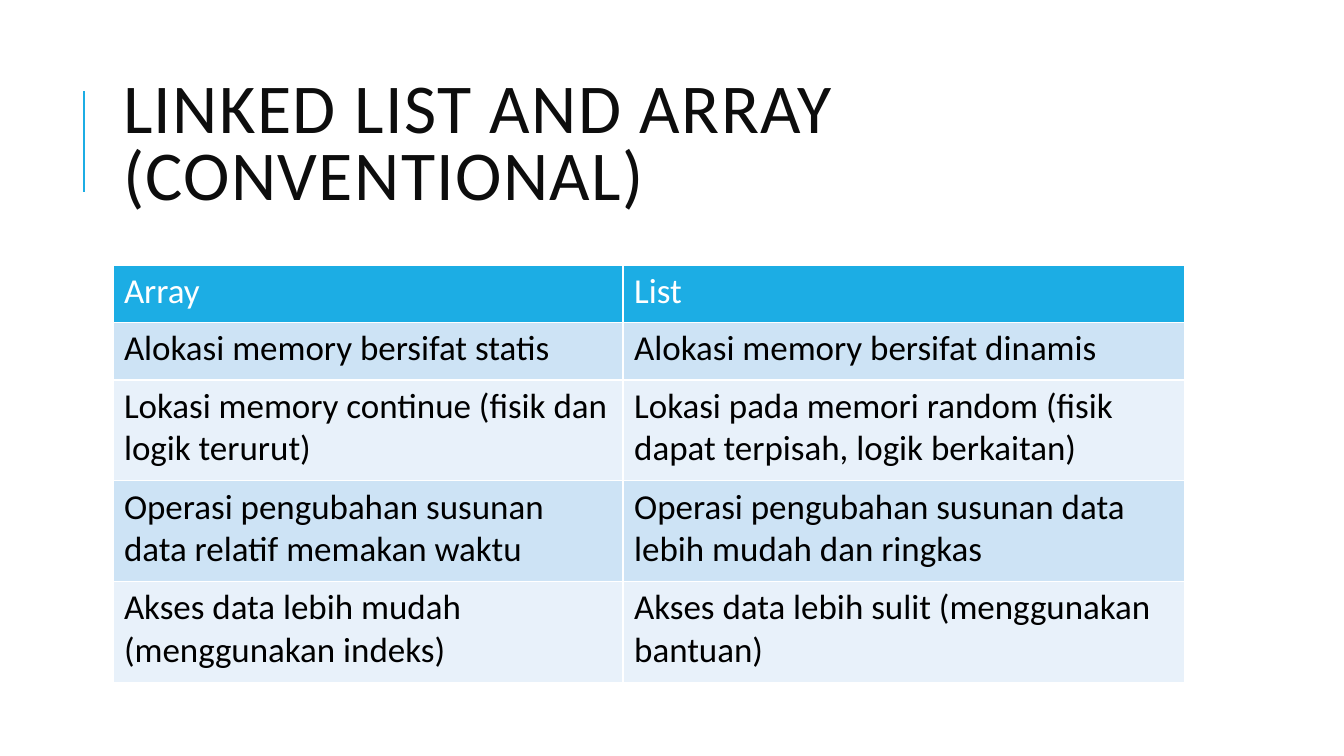
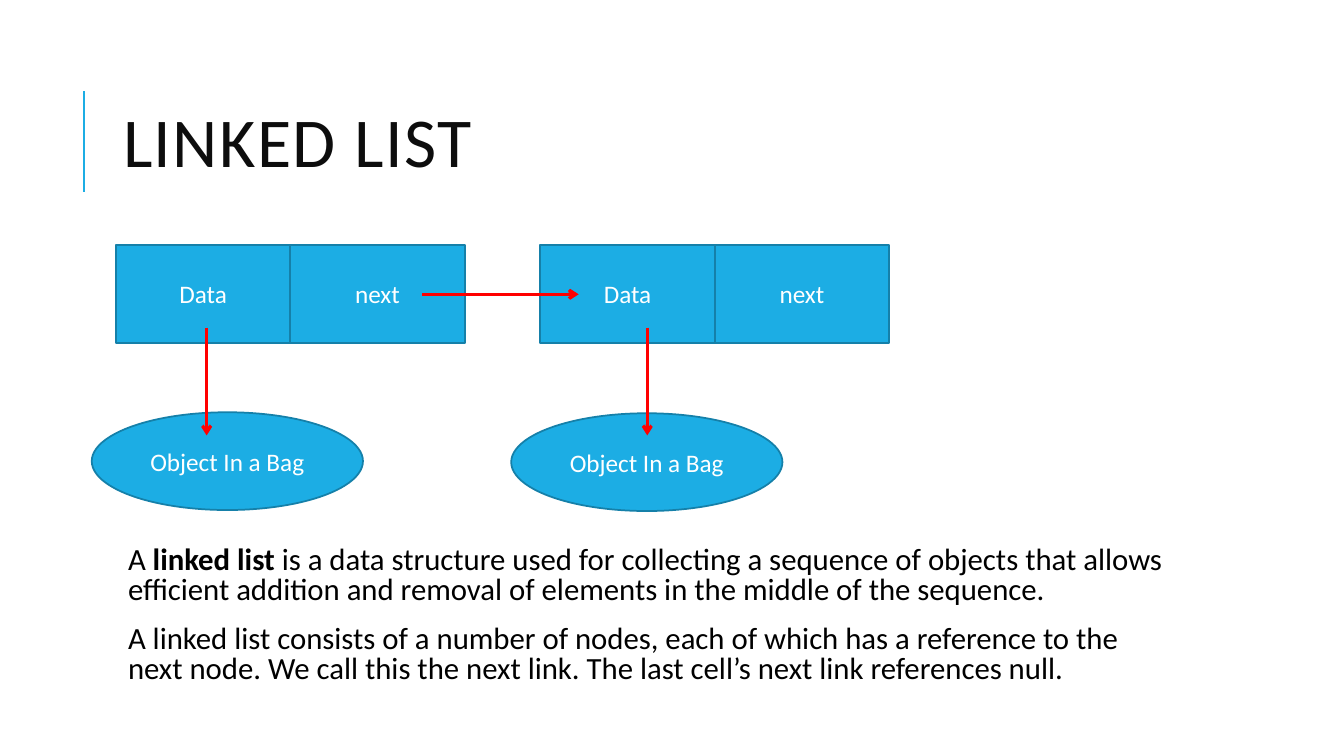
from dataclasses import dataclass

import lxml.etree
import pptx
import pptx.dml.color
import pptx.enum.shapes
import pptx.enum.text
import pptx.oxml
import pptx.oxml.ns
import pptx.presentation
import pptx.shapes.autoshape
import pptx.shapes.connector
import pptx.slide
import pptx.table
import pptx.text.text
import pptx.util
from pptx.dml.color import RGBColor
from pptx.util import Inches, Pt

# Shared style
FONT = "Calibri"
ACCENT = RGBColor(0x1C, 0xAD, 0xE4)
OUTLINE = RGBColor(0x15, 0x80, 0xA9)
ARROW = RGBColor(0xFF, 0x00, 0x00)
TITLE_COLOR = RGBColor(0x0D, 0x0D, 0x0D)
BLACK = RGBColor(0x00, 0x00, 0x00)
WHITE = RGBColor(0xFF, 0xFF, 0xFF)
BAND_DARK = RGBColor(0xCD, 0xE3, 0xF5)
BAND_LIGHT = RGBColor(0xE8, 0xF1, 0xFA)
CONTENT_LEFT, CONTENT_WIDTH = 1.12, 10.63

SHAPE = pptx.enum.shapes.MSO_SHAPE
ALIGN = pptx.enum.text.PP_ALIGN
ANCHOR = pptx.enum.text.MSO_ANCHOR


@dataclass(frozen=True)
class Box:
    kind: SHAPE
    text: str
    left: float
    top: float
    width: float
    height: float = 0.97


@dataclass(frozen=True)
class Line:
    start: tuple[float, float]
    end: tuple[float, float]
    color: RGBColor = ARROW
    weight: float = 2.25
    arrow: bool = True


def format_runs(paragraph: pptx.text.text._Paragraph, size: float, color: RGBColor) -> None:
    for run in paragraph.runs:
        run.font.name = FONT
        run.font.size = Pt(size)
        run.font.color.rgb = color


def draw_line(slide: pptx.slide.Slide, line: Line) -> None:
    connector = slide.shapes.add_connector(
        pptx.enum.shapes.MSO_CONNECTOR.STRAIGHT,
        *(Inches(value) for value in line.start + line.end))
    connector.line.color.rgb = line.color
    connector.line.width = Pt(line.weight)
    if line.arrow:
        outline = connector.line._get_or_add_ln()
        lxml.etree.SubElement(outline, pptx.oxml.ns.qn("a:tailEnd"), type="arrow")
    lxml.etree.SubElement(connector._element.spPr, pptx.oxml.ns.qn("a:effectLst"))


def draw_box(slide: pptx.slide.Slide, box: Box) -> None:
    shape = slide.shapes.add_shape(
        box.kind, Inches(box.left), Inches(box.top), Inches(box.width), Inches(box.height))
    shape.shadow.inherit = False
    shape.fill.solid()
    shape.fill.fore_color.rgb = ACCENT
    shape.line.color.rgb = OUTLINE
    shape.line.width = Pt(1.25)
    shape.text_frame.text = box.text
    shape.text_frame.vertical_anchor = ANCHOR.MIDDLE
    paragraph = shape.text_frame.paragraphs[0]
    paragraph.alignment = ALIGN.CENTER
    format_runs(paragraph, 18, WHITE)


def add_titled_slide(presentation: pptx.presentation.Presentation, text: str) -> pptx.slide.Slide:
    slide = presentation.slides.add_slide(presentation.slide_layouts.get_by_name("Title Only"))
    draw_line(slide, Line((0.83, 1.9), (0.83, 0.9), ACCENT, 1.5, arrow=False))
    title = slide.shapes.title
    title.left, title.top = Inches(CONTENT_LEFT), Inches(0.64)
    title.width, title.height = Inches(CONTENT_WIDTH), Inches(1.64)
    frame = title.text_frame
    frame.text = text
    frame.auto_size = pptx.enum.text.MSO_AUTO_SIZE.NONE
    frame.vertical_anchor = ANCHOR.MIDDLE
    paragraph = frame.paragraphs[0]
    paragraph.alignment = ALIGN.LEFT
    paragraph.line_spacing = 0.8
    format_runs(paragraph, 50, TITLE_COLOR)
    paragraph.runs[0].font._element.set("spc", "100")
    return slide


def format_cell(cell: pptx.table._Cell, fill: RGBColor, color: RGBColor) -> None:
    properties = cell._tc.get_or_add_tcPr()
    for side in ("L", "R", "T", "B"):
        properties.append(pptx.oxml.parse_xml(
            f'<a:ln{side} {pptx.oxml.ns.nsdecls("a")} w="{Pt(1)}">'
            f'<a:solidFill><a:srgbClr val="{WHITE}"/></a:solidFill></a:ln{side}>'))
    cell.fill.solid()
    cell.fill.fore_color.rgb = fill
    cell.margin_left = cell.margin_right = Inches(0.11)
    cell.margin_top = cell.margin_bottom = Inches(0.05)
    format_runs(cell.text_frame.paragraphs[0], 25, color)


def add_comparison_table(slide: pptx.slide.Slide, rows: list[tuple[str, str]],
                         widths: list[float], heights: list[float]) -> None:
    table = slide.shapes.add_table(
        len(rows), len(widths), Inches(CONTENT_LEFT), Inches(2.63),
        Inches(sum(widths)), Inches(sum(heights))).table
    for column, width in zip(table.columns, widths):
        column.width = Inches(width)
    for index, (row, height, texts) in enumerate(zip(table.rows, heights, rows)):
        row.height = Inches(height)
        band = BAND_DARK if index % 2 else BAND_LIGHT
        fill, color = (band, BLACK) if index else (ACCENT, WHITE)
        for cell, text in zip(row.cells, texts):
            cell.text_frame.text = text
            format_cell(cell, fill, color)


def add_body(slide: pptx.slide.Slide, paragraphs: list[list[tuple[str, bool]]]) -> None:
    frame = slide.shapes.add_textbox(
        Inches(CONTENT_LEFT), Inches(5.38), Inches(CONTENT_WIDTH), Inches(1.51)).text_frame
    frame.word_wrap = True
    frame.margin_left = Inches(0.15)
    frame.margin_right = frame.margin_top = frame.margin_bottom = Inches(0.05)
    for index, pieces in enumerate(paragraphs):
        paragraph = frame.add_paragraph() if index else frame.paragraphs[0]
        paragraph.line_spacing = 0.8
        paragraph.space_before, paragraph.space_after = Pt(12), Pt(2)
        for text, bold in pieces:
            run = paragraph.add_run()
            run.text = text
            run.font.bold = bold
        format_runs(paragraph, 22, BLACK)


presentation = pptx.Presentation()
presentation.slide_width, presentation.slide_height = Inches(13.33), Inches(7.5)

# Slide 1: array and list compared
comparison_slide = add_titled_slide(presentation, "LINKED LIST AND ARRAY (CONVENTIONAL)")
add_comparison_table(comparison_slide, [
    ("Array", "List"),
    ("Alokasi memory bersifat statis", "Alokasi memory bersifat dinamis"),
    ("Lokasi memory continue (fisik dan logik terurut)",
     "Lokasi pada memori random (fisik dapat terpisah, logik berkaitan)"),
    ("Operasi pengubahan susunan data relatif memakan waktu",
     "Operasi pengubahan susunan data lebih mudah dan ringkas"),
    ("Akses data lebih mudah (menggunakan indeks)",
     "Akses data lebih sulit (menggunakan bantuan)"),
], widths=[5.06, 5.57], heights=[0.57, 0.57, 1, 1, 1])

# Slide 2: nodes, the objects they hold and the links
diagram_slide = add_titled_slide(presentation, "LINKED LIST")
FIELD_WIDTH = 1.73
for node_left, object_left, object_top in ((1.15, 0.91, 4.09), (5.36, 5.07, 4.1)):
    for position, field in enumerate(("Data", "next")):
        draw_box(diagram_slide, Box(
            SHAPE.RECTANGLE, field, node_left + position * FIELD_WIDTH, 2.43, FIELD_WIDTH))
    draw_box(diagram_slide, Box(
        SHAPE.OVAL, "Object In a Bag", object_left, object_top, 2.69))

draw_line(diagram_slide, Line((4.19, 2.92), (5.74, 2.92)))
for arrow_left in (2.05, 6.42):
    draw_line(diagram_slide, Line((arrow_left, 3.25), (arrow_left, 4.32)))

add_body(diagram_slide, [
    [("A ", False), ("linked list ", True),
     ("is a data structure used for collecting a sequence of objects that allows efficient "
      "addition and removal of elements in the middle of the sequence.", False)],
    [("A linked list consists of a number of nodes, each of which has a reference to the "
      "next node. We call this the next link. The last cell\u2019s next link references null.",
      False)],
])

presentation.save("out.pptx")
